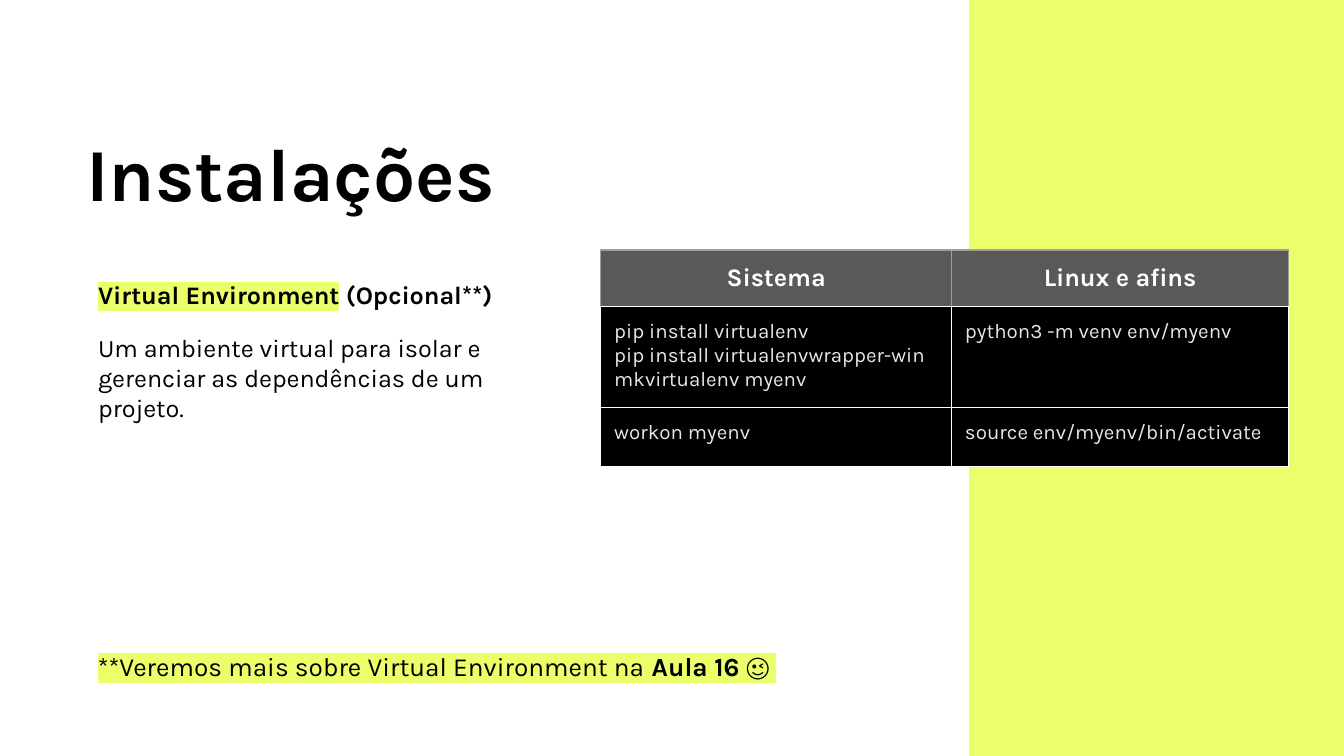
"""Build the slide on installing a virtual environment."""
from lxml.etree import SubElement
from pptx import Presentation
from pptx.dml.color import RGBColor
from pptx.enum.shapes import MSO_SHAPE as Shape
from pptx.enum.text import MSO_ANCHOR as Anchor, MSO_AUTO_SIZE as AutoSize, PP_ALIGN as Align
from pptx.oxml.ns import qn
from pptx.util import Inches, Pt

LIME, BLACK, WHITE, GREY = "EAFF6A", "000000", "FFFFFF", "9E9E9E"


def color(value):
    """Turn a hex string into a colour."""
    return RGBColor.from_string(value)


def style(span, size, ink=BLACK, bold=False, marker=None):
    """Format a run, with an optional highlight."""
    font = span.font
    font.name, font.size, font.bold = "Karla", Pt(size), bold
    font.color.rgb = color(ink)
    if marker:
        properties = span._r.get_or_add_rPr()
        highlight = SubElement(properties, qn("a:highlight"))
        SubElement(highlight, qn("a:srgbClr"), val=marker)
        properties.find(qn("a:latin")).addprevious(highlight)


deck = Presentation()
deck.slide_width = Inches(10)
deck.slide_height = deck.slide_width * 9 // 16
page = deck.slides.add_slide(deck.slide_layouts[1])
width, height = deck.slide_width, deck.slide_height

panel_left = int(width * 0.721)
panel = page.shapes.add_shape(Shape.RECTANGLE, panel_left, 0, width - panel_left, height)
panel.shadow.inherit = False
panel.fill.solid()
panel.fill.fore_color.rgb = color(LIME)
panel.line.fill.background()

title, body = page.placeholders
note = page.shapes.add_textbox(0, 0, 0, 0)
places = [(title, 0.54, 0.92, 5.63, 0.81), (body, 0.63, 1.98, 3.59, 1.28),
          (note, 0.63, 4.74, 5.63, 1.07)]
for box, *place in places:
    box.left, box.top, box.width, box.height = map(Inches, place)
    frame = box.text_frame
    frame.word_wrap, frame.auto_size = True, AutoSize.NONE
    frame.vertical_anchor = Anchor.TOP
    frame.margin_left = frame.margin_right = Inches(0.1)
    frame.margin_top = frame.margin_bottom = Inches(0.1)

title.text_frame.text = "Instalações"
heading = title.text_frame.paragraphs[0]
heading.alignment, heading.line_spacing = Align.LEFT, 0.9
style(heading.runs[0], 40, bold=True)

body.text_frame.text = ("Virtual Environment\nUm ambiente virtual para isolar e "
                        "gerenciar as dependências de um projeto.")
topic, description = body.text_frame.paragraphs
for para in (topic, description):
    layout = para._p.get_or_add_pPr()
    layout.set("marL", "0")
    layout.set("indent", "0")
    SubElement(layout, qn("a:buNone"))
    para.space_before = Pt(0)
description.space_before = description.space_after = Pt(12)
topic.add_run().text = " (Opcional**)"
for span, marker in zip(topic.runs, (LIME, WHITE)):
    style(span, 13.5, bold=True, marker=marker)
style(description.runs[0], 13.5)

remark = note.text_frame.paragraphs[0]
for words, bold in (("**Veremos mais sobre Virtual Environment na", False),
                    (" Aula 16", True), (" 😉 ", False)):
    span = remark.add_run()
    span.text = words
    style(span, 14, bold=bold, marker=LIME)

commands = [
    ("Sistema", "Linux e afins"),
    ("pip install virtualenv\npip install virtualenvwrapper-win\nmkvirtualenv myenv",
     "python3 -m venv env/myenv"),
    ("workon myenv", "source env/myenv/bin/activate"),
]
columns, rows = (2.61, 2.51), (0.42, 0.75, 0.44)
table = page.shapes.add_table(len(rows), len(columns), Inches(4.47), Inches(1.86),
                              Inches(sum(columns)), Inches(sum(rows))).table
for column, size in zip(table.columns, columns):
    column.width = Inches(size)
for row, size in zip(table.rows, rows):
    row.height = Inches(size)

for row, texts in enumerate(commands):
    header = row == 0
    for column, text in enumerate(texts):
        cell = table.cell(row, column)
        cell.text_frame.text = text
        cell.margin_left = cell.margin_right = Inches(0.1)
        cell.margin_top = cell.margin_bottom = Inches(0.1)
        for para in cell.text_frame.paragraphs:
            para.alignment = Align.CENTER if header else Align.LEFT
            style(para.runs[0], 13.5 if header else 11, WHITE if header else "E8E7E3", header)
        properties = cell._tc.get_or_add_tcPr()
        for side in "LRTB":
            border = SubElement(properties, qn(f"a:ln{side}"), w=str(Pt(0.75)))
            ink = GREY if header and side != "B" else WHITE
            SubElement(SubElement(border, qn("a:solidFill")), qn("a:srgbClr"), val=ink)
        cell.fill.solid()
        cell.fill.fore_color.rgb = color("595959" if header else BLACK)

deck.save("out.pptx")
